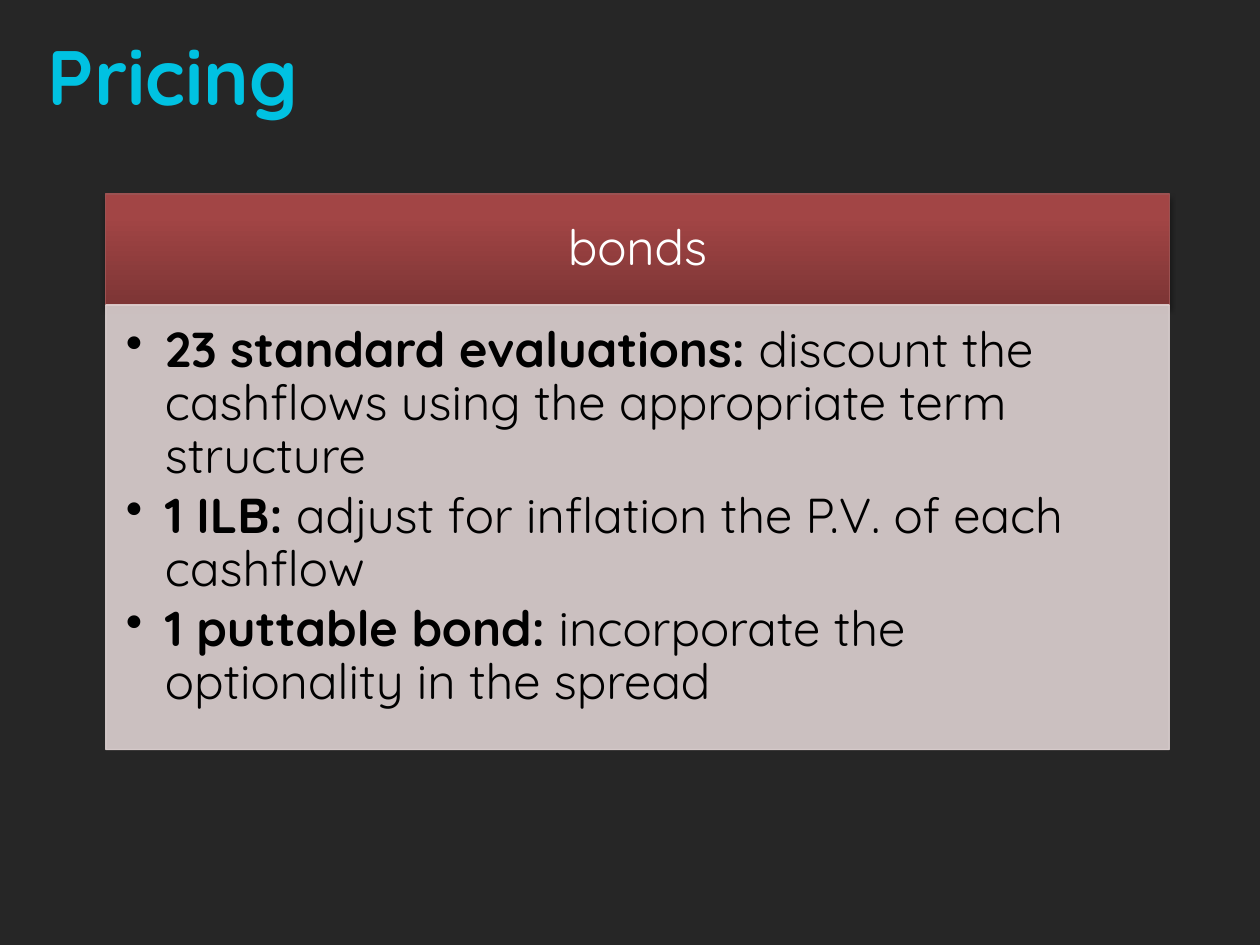
"""Build the bond pricing slide."""
from lxml import etree
from pptx import Presentation
from pptx.dml.color import RGBColor
from pptx.enum import shapes, text
from pptx.oxml import ns, parse_xml
from pptx.util import Inches, Pt

BACKGROUND = RGBColor(0x26, 0x26, 0x26)
CYAN = RGBColor(0x00, 0xC2, 0xE2)
WHITE = RGBColor(0xFF, 0xFF, 0xFF)
BLACK = RGBColor(0x00, 0x00, 0x00)
HEADER_LINE = RGBColor(0x9C, 0x52, 0x52)
PANEL = RGBColor(0xDE, 0xD1, 0xD1)
HEADER_STOPS = [
    (0, RGBColor(0x7D, 0x35, 0x35)),
    (80, RGBColor(0xA2, 0x45, 0x45)),
    (100, RGBColor(0xA4, 0x43, 0x43)),
]
FONT = "Quicksand"
BULLETS = [
    ("23 standard evaluations: ",
     "discount the cashflows using the appropriate term structure"),
    ("1 ILB:", " adjust for inflation the P.V. of each cashflow"),
    ("1 puttable bond: ", "incorporate the optionality in the spread"),
]


def add_run(paragraph, words, size, color, bold=False):
    run = paragraph.add_run()
    run.text = words
    run.font.name = FONT
    run.font.size = Pt(size)
    run.font.bold = bold
    run.font.color.rgb = color


def add_box(slide, top, height, line_color, margins):
    box = slide.shapes.add_shape(
        shapes.MSO_SHAPE.RECTANGLE, Inches(0.84), Inches(top), Inches(8.44), Inches(height))
    box.shadow.inherit = False
    box.line.color.rgb = line_color
    box.line.width = Pt(0.75)
    frame = box.text_frame
    frame.word_wrap = True
    frame.margin_left, frame.margin_top, frame.margin_right, frame.margin_bottom = map(
        Inches, margins)
    return box


presentation = Presentation()
presentation.slide_width = Inches(10)
presentation.slide_height = Inches(7.5)
slide = presentation.slides.add_slide(presentation.slide_layouts[5])
slide.background.fill.solid()
slide.background.fill.fore_color.rgb = BACKGROUND

title = slide.shapes.title
title.left, title.top = Inches(0.28), Inches(-0.03)
title.width, title.height = Inches(9.28), Inches(1.25)
title.text_frame.auto_size = text.MSO_AUTO_SIZE.NONE
title.text_frame.vertical_anchor = text.MSO_ANCHOR.MIDDLE
paragraph = title.text_frame.paragraphs[0]
paragraph.alignment = text.PP_ALIGN.LEFT
add_run(paragraph, "Pricing", 44, CYAN, bold=True)

header = add_box(slide, 1.54, 0.88, HEADER_LINE, (0.22, 0.12, 0.22, 0.12))
header.fill.gradient()
header.fill.gradient_angle = 90
properties = header.fill._xPr
stop_list = properties.find(".//" + ns.qn("a:gsLst"))
stop_list.clear()
for position, color in HEADER_STOPS:
    stop = etree.SubElement(stop_list, ns.qn("a:gs"), pos=str(position * 1000))
    etree.SubElement(stop, ns.qn("a:srgbClr"), val=str(color))
properties.find(ns.qn("a:effectLst")).append(parse_xml(
    f'<a:outerShdw {ns.nsdecls("a")} blurRad="{Pt(3.1)}" dist="{Pt(1.8)}" dir="5400000" '
    'rotWithShape="0"><a:srgbClr val="000000"><a:alpha val="35000"/></a:srgbClr></a:outerShdw>'))
header.text_frame.vertical_anchor = text.MSO_ANCHOR.MIDDLE
paragraph = header.text_frame.paragraphs[0]
paragraph.alignment = text.PP_ALIGN.CENTER
paragraph.line_spacing = 0.9
add_run(paragraph, "bonds", 28, WHITE)

panel = add_box(slide, 2.42, 3.53, PANEL, (0.16, 0.16, 0.22, 0.24))
panel.fill.solid()
panel.fill.fore_color.rgb = PANEL
for color in panel.fill._xPr.iter(ns.qn("a:srgbClr")):
    etree.SubElement(color, ns.qn("a:alpha"), val="90000")
frame = panel.text_frame
frame.vertical_anchor = text.MSO_ANCHOR.TOP
for index, (term, method) in enumerate(BULLETS):
    paragraph = frame.add_paragraph() if index else frame.paragraphs[0]
    paragraph.alignment = text.PP_ALIGN.LEFT
    paragraph.line_spacing = 0.9
    paragraph.space_after = Pt(4.2)
    layout = paragraph._p.get_or_add_pPr()
    layout.set("marL", str(Inches(0.31)))
    layout.set("indent", str(Inches(-0.31)))
    etree.SubElement(layout, ns.qn("a:buChar"), char="•")
    add_run(paragraph, term, 28, BLACK, bold=True)
    add_run(paragraph, method, 28, BLACK)

presentation.save("out.pptx")
